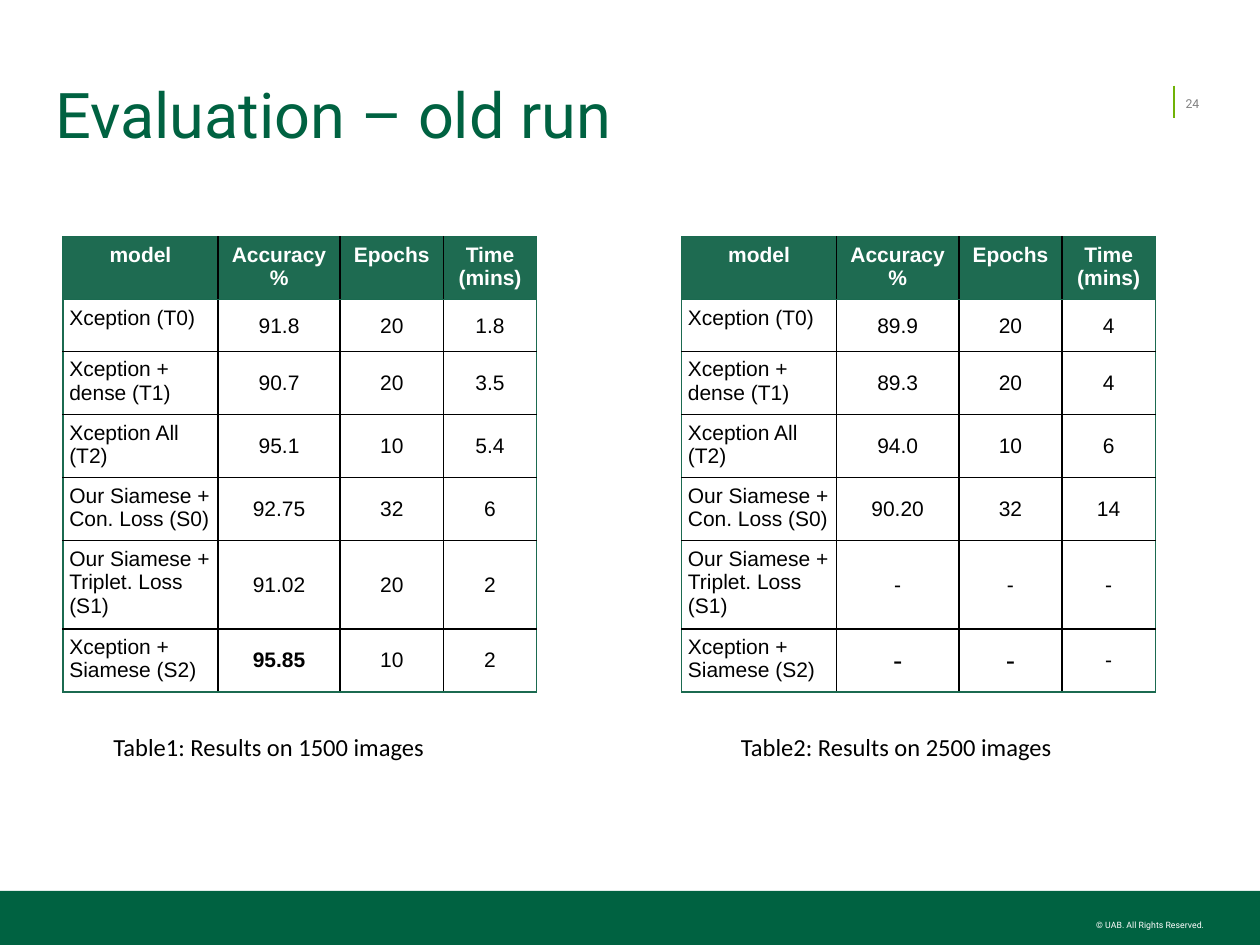
from lxml import etree
from pptx import Presentation
from pptx.dml.color import RGBColor
from pptx.enum.shapes import MSO_CONNECTOR, MSO_SHAPE
from pptx.enum.text import MSO_ANCHOR as ANCHOR, PP_ALIGN as ALIGN
from pptx.oxml import parse_xml
from pptx.oxml.ns import nsdecls, qn
from pptx.util import Inches, Pt

GREEN, EDGE, HEADER = "006241", "1B6A50", "1E6B51"
BLACK, WHITE, GREY, LIME = "000000", "FFFFFF", "808080", "70B207"
INSET = 0.05
COLUMN_WIDTHS = [1.23, 0.97, 0.82, 0.74]
HEADINGS = ["model", "Accuracy %", "Epochs", "Time (mins)"]
MODELS = ["Xception (T0)", "Xception + dense (T1)", "Xception All (T2)",
          "Our Siamese + Con. Loss (S0)", "Our Siamese + Triplet. Loss (S1)",
          "Xception + Siamese (S2)"]
RESULTS_1500 = [["91.8", "20", "1.8"], ["90.7", "20", "3.5"], ["95.1", "10", "5.4"],
                ["92.75", "32", "6"], ["91.02", "20", "2"], ["95.85", "10", "2"]]
RESULTS_2500 = [["89.9", "20", "4"], ["89.3", "20", "4"], ["94.0", "10", "6"],
                ["90.20", "32", "14"], ["-", "-", "-"], ["-", "-", "-"]]
HEIGHTS_1500 = [0.41] * 7
HEIGHTS_2500 = [0.5, 0.41, 0.5, 0.5, 0.5, 0.7, 0.5]


def rgb(color):
    return RGBColor.from_string(color)


def style(p, font, size, color, bold=False, align=ALIGN.LEFT):
    p.alignment = align
    for r in p.runs:
        r.font.name = font
        r.font.size = Pt(size)
        r.font.bold = bold
        r.font.color.rgb = rgb(color)


def set_insets(target, inset):
    target.margin_left = target.margin_right = Inches(inset)
    target.margin_top = target.margin_bottom = Inches(inset)


def add_text(s, text, box, font, size, color, align=ALIGN.LEFT,
             anchor=ANCHOR.TOP, inset=0, wrap=True):
    tf = s.shapes.add_textbox(*map(Inches, box)).text_frame
    tf.word_wrap = wrap
    tf.vertical_anchor = anchor
    set_insets(tf, inset)
    tf.text = text
    style(tf.paragraphs[0], font, size, color, align=align)
    return tf.paragraphs[0]


def add_bar(s, box, color):
    sp = s.shapes.add_shape(MSO_SHAPE.RECTANGLE, *map(Inches, box))
    sp.shadow.inherit = False
    sp.fill.solid()
    sp.fill.fore_color.rgb = rgb(color)
    sp.line.fill.background()


def add_line(s, x1, y1, x2, y2, color, width):
    line = s.shapes.add_connector(MSO_CONNECTOR.STRAIGHT, *map(Inches, (x1, y1, x2, y2)))
    line.line.color.rgb = rgb(color)
    line.line.width = Pt(width)
    etree.SubElement(line._element.spPr, qn("a:effectLst"))


def set_borders(cell, edges):
    """Draw the sides L, R, T, B: green where edges is true, else black."""
    tc_pr = cell._tc.get_or_add_tcPr()
    for side, is_edge in zip("LRTB", edges):
        color, width = (EDGE, 0.75) if is_edge else (BLACK, 1)
        tc_pr.append(parse_xml(
            f'<a:ln{side} {nsdecls("a")} w="{Pt(width)}"><a:solidFill>'
            f'<a:srgbClr val="{color}"/></a:solidFill></a:ln{side}>'))


def add_results(s, left, top, results, heights, special):
    """Add a results table; special maps (row, column) to a (size, bold) pair."""
    rows = [HEADINGS] + [[model] + values for model, values in zip(MODELS, results)]
    last_row, last_col = len(rows) - 1, len(HEADINGS) - 1
    table = s.shapes.add_table(
        len(rows), len(HEADINGS), Inches(left), Inches(top),
        Inches(sum(COLUMN_WIDTHS)), Inches(sum(heights))).table
    table.first_row = table.horz_banding = False
    for column, width in zip(table.columns, COLUMN_WIDTHS):
        column.width = Inches(width)
    for i, (values, height) in enumerate(zip(rows, heights)):
        table.rows[i].height = Inches(height)
        for j, text in enumerate(values):
            cell = table.cell(i, j)
            header, name = i == 0, j == 0
            set_insets(cell, INSET)
            cell.vertical_anchor = ANCHOR.TOP if header or name else ANCHOR.MIDDLE
            cell.text = text
            size, bold = special.get((i, j), (12, header))
            style(cell.text_frame.paragraphs[0], "Arial", size,
                  WHITE if header else BLACK, bold,
                  ALIGN.LEFT if name and not header else ALIGN.CENTER)
            set_borders(cell, (name, j == last_col, i <= 1, i in (0, last_row)))
            if header:
                cell.fill.solid()
                cell.fill.fore_color.rgb = rgb(HEADER)
            else:
                cell.fill.background()


def main():
    prs = Presentation()
    prs.slide_width, prs.slide_height = Inches(10), Inches(7.5)
    s = prs.slides.add_slide(prs.slide_layouts[6])

    add_line(s, 9.32, 0.68, 9.32, 0.94, LIME, 1)
    add_bar(s, (0, 7.07, 10, 0.43), GREEN)
    add_text(s, "© UAB. All Rights Reserved.", (8.7, 7.3, 0.86, 0.14),
             "Roboto", 5, WHITE, align=ALIGN.RIGHT, wrap=False)
    title = add_text(s, "Evaluation – old run", (0.44, 0.52, 8.72, 0.84),
                     "Roboto", 36, GREEN, anchor=ANCHOR.MIDDLE)
    title.line_spacing = 0.9
    add_text(s, "24", (9.41, 0.75, 0.14, 0.14), "Roboto", 7, GREY,
             anchor=ANCHOR.MIDDLE, wrap=False)

    add_results(s, 0.5, 1.88, RESULTS_1500, HEIGHTS_1500, {(6, 1): (12, True)})
    add_text(s, "Table1: Results on 1500 images", (0.85, 5.76, 2.89, 0.34),
             "Calibri", 14, BLACK, inset=INSET)
    add_text(s, "Table2: Results on 2500 images", (5.83, 5.76, 2.91, 0.34),
             "Calibri", 14, BLACK, inset=INSET)
    add_results(s, 5.41, 1.88, RESULTS_2500, HEIGHTS_2500,
                {(6, 1): (16, False), (6, 2): (16, False)})

    prs.save("out.pptx")


if __name__ == "__main__":
    main()
